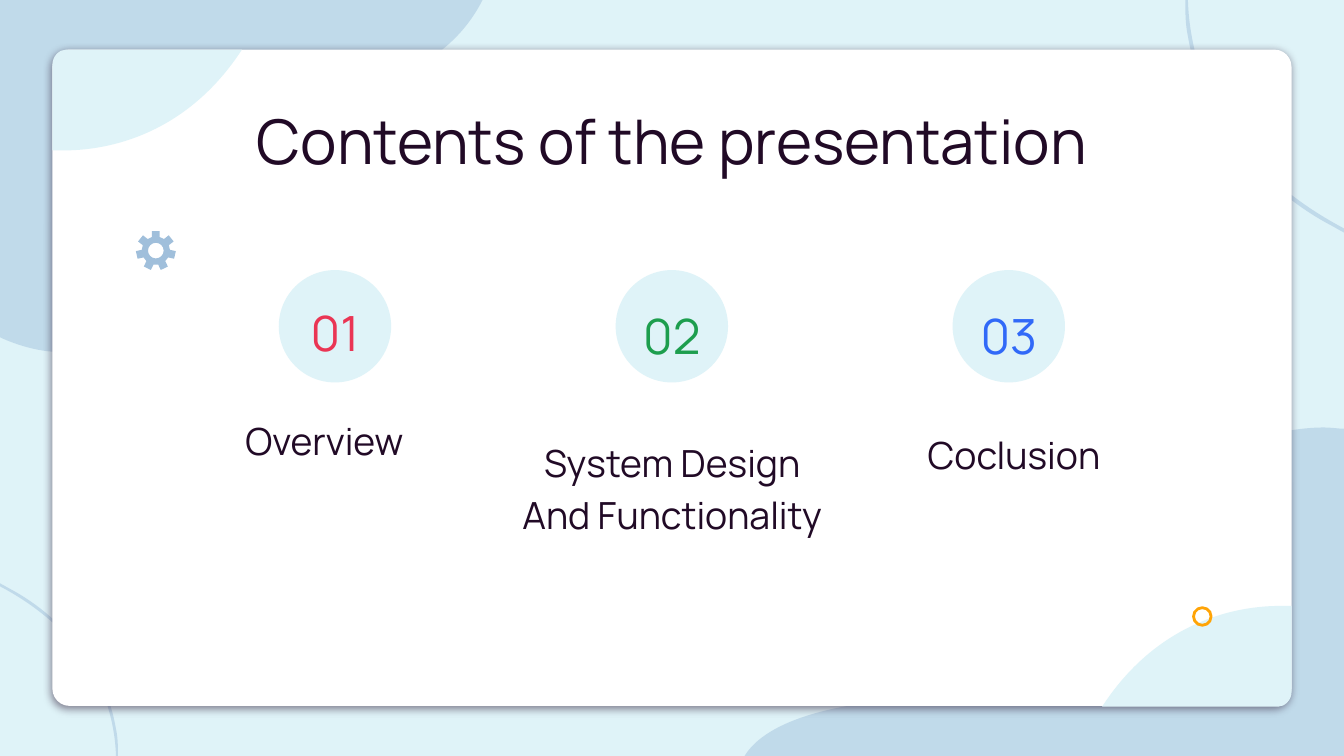
from collections import namedtuple
from math import asin, cos, pi, sin

from lxml.etree import SubElement
from pptx import Presentation
from pptx.dml.color import RGBColor
from pptx.enum.shapes import MSO_SHAPE as Preset
from pptx.enum.text import MSO_ANCHOR as Anchor, MSO_AUTO_SIZE as AutoSize, PP_ALIGN as Align
from pptx.oxml.ns import qn
from pptx.util import Pt

Box = namedtuple("Box", "left top width height")
FONT, INK, PALE, STEEL, WHITE = "Manrope", "210A26", "DFF3F8", "A0BFDB", "FFFFFF"

BAND = [(1.4, 0), (2.2, 25.9, 10.8, 52.6, 25.9, 73.4), (41.8, 94.3, 61.9, 110.2, 85, 122.4),
        (85, 124.6), (82.1, 123.1, 79.9, 121.7, 77, 120.2), (58.3, 110.2, 41.8, 95.8, 28.1, 79.2),
        (14.4, 61.9, 5, 41, 1.4, 19.4), (0, 13, 0, 6.5, 0, 0)]
LEAF = [(101.5, 0), (74.9, 41, 36.7, 54, 5.8, 54), (3.6, 54, 1.4, 54, 0, 54),
        (0, 7.9), (0, 3.6, 3.6, 0, 7.2, 0)]
TOP_BLOB = [(32.4, 188.6), (15.8, 188.6, 0, 180.7, 0, 180.7), (0, 0), (258.5, 0),
            (225.4, 65.5, 123.1, 52.6, 80.6, 65.5), (38.2, 78.5, 85, 141.1, 61.9, 174.2),
            (54, 185.8, 43.2, 188.6, 32.4, 188.6)]
BOTTOM_BLOB = [(0, 176), (11.5, 157, 50.4, 144.7, 113.8, 144.7),
               (116, 144.7, 118.8, 144.7, 121, 144.7), (121.7, 144.7, 122.4, 144.7, 123.1, 144.7),
               (218.2, 144.7, 177.8, 61.2, 248.4, 17.3), (267.1, 5.8, 292.3, 0, 310.3, 0),
               (314.6, 0, 318.2, 0.7, 321.1, 0.7), (321.1, 176)]


def rgb(colour):
    return RGBColor.from_string(colour)


def paint(shape, colour, alpha=100):
    shape.shadow.inherit = False
    shape.line.fill.background()
    shape.fill.solid()
    shape.fill.fore_color.rgb = rgb(colour)
    if alpha < 100:
        tint = shape.element.spPr.find(".//" + qn("a:srgbClr"))
        SubElement(tint, qn("a:alpha"), val=str(alpha * 1000))


def add_preset(page, preset, box, colour):
    shape = page.shapes.add_shape(preset, *map(Pt, box))
    paint(shape, colour)
    return shape


def knots(segment):
    return list(zip(segment[::2], segment[1::2]))


def bend(shape, contours):
    outline = shape.element.spPr.find(".//" + qn("a:path"))
    lines = iter(outline.findall(qn("a:lnTo")))
    for contour in contours:
        for segment in contour[1:]:
            parts = [next(lines) for knot in knots(segment)]
            if len(parts) == 3:
                curve = SubElement(outline, qn("a:cubicBezTo"))
                parts[0].addprevious(curve)
                for part in parts:
                    curve.append(part[0])
                    outline.remove(part)


def add_outline(page, contours, colour, alpha=100):
    builder = None
    for contour in contours:
        points = [(Pt(x), Pt(y)) for segment in contour for x, y in knots(segment)]
        if builder is None:
            builder = page.shapes.build_freeform(*points[0])
        else:
            builder.move_to(*points[0])
        builder.add_line_segments(points[1:], close=True)
    shape = builder.convert_to_shape()
    bend(shape, contours)
    paint(shape, colour, alpha)


def add_curve(page, box, segments, colour, alpha=100, turned=False):
    wide, high = (max(values) for values in zip(*(k for s in segments for k in knots(s))))

    def place(x, y):
        x, y = (wide - x, high - y) if turned else (x, y)
        return box.left + x * box.width / wide, box.top + y * box.height / high

    placed = [sum((place(*knot) for knot in knots(segment)), ()) for segment in segments]
    add_outline(page, [placed], colour, alpha)


def write(shape, box, text, size, colour, anchor):
    shape.left, shape.top, shape.width, shape.height = map(Pt, box)
    shape.element.getparent().append(shape.element)
    frame = shape.text_frame
    frame.word_wrap = True
    frame.auto_size = AutoSize.NONE
    frame.vertical_anchor = anchor
    frame.margin_left = frame.margin_right = frame.margin_top = frame.margin_bottom = Pt(7.2)
    frame.text = text
    para = frame.paragraphs[0]
    properties = para._p.get_or_add_pPr()
    properties.set("marL", "0")
    properties.set("indent", "0")
    SubElement(properties, qn("a:buNone"))
    para.alignment = Align.CENTER
    para.line_spacing = 1.15
    para.space_before = Pt(0)
    para.font.name, para.font.size, para.font.bold = FONT, Pt(size), False
    para.font.color.rgb = rgb(colour)


def draw_backdrop(page, box):
    page.background.fill.solid()
    page.background.fill.fore_color.rgb = rgb(PALE)
    right, bottom = box.left + box.width, box.top + box.height
    add_curve(page, Box(right - 85, box.top, 85, 124.6), BAND, STEEL, 48)
    add_curve(page, Box(box.left, box.top, 258.5, 188.6), TOP_BLOB, STEEL, 48)
    add_curve(page, Box(right - 321.1, bottom - 176, 321.1, 176), BOTTOM_BLOB, STEEL, 48)
    add_curve(page, Box(box.left, bottom - 92.5, 63.2, 92.5), BAND, STEEL, 48, turned=True)


def draw_card(page, box):
    card = add_preset(page, Preset.ROUNDED_RECTANGLE, box, WHITE)
    card.adjustments[0] = 0.026
    effects = card.element.spPr.find(qn("a:effectLst"))
    shadow = SubElement(effects, qn("a:outerShdw"), blurRad=str(Pt(4.5)), dist=str(Pt(1.5)),
                        dir="5400000", algn="bl", rotWithShape="0")
    tint = SubElement(shadow, qn("a:srgbClr"), val=INK)
    SubElement(tint, qn("a:alpha"), val="50000")


def draw_leaves(page, box):
    leaf = Box(box.left, box.top, 101.5, 54)
    opposite = leaf._replace(left=box.left + box.width - leaf.width,
                             top=box.top + box.height - leaf.height + 0.4)
    add_curve(page, opposite, LEAF, PALE, turned=True)
    add_curve(page, leaf, LEAF, PALE)


def draw_gear(page, box, teeth=7):
    middle_x, middle_y = box.left + box.width / 2, box.top + box.height / 2
    outer, root, hole, half_tooth = (box.width * part for part in (0.51, 0.36, 0.2, 0.1))

    def at(radius, angle):
        return middle_x + radius * cos(angle), middle_y + radius * sin(angle)

    rim = []
    for tooth in range(teeth):
        angle = 2 * pi * tooth / teeth - pi / 2
        narrow, wide = asin(half_tooth / outer), asin(half_tooth / root)
        rim += [at(root, angle - wide), at(outer, angle - narrow),
                at(outer, angle + narrow), at(root, angle + wide)]
    bore = [at(hole, 0)]
    reach, lean = hole * 1.14, asin(0.48)
    for quarter in range(4):
        start, end = -quarter * pi / 2, -(quarter + 1) * pi / 2
        bore.append(at(reach, start - lean) + at(reach, end + lean) + at(hole, end))
    add_outline(page, [bore, rim], STEEL)


def draw_ring(page, box):
    ring = add_preset(page, Preset.OVAL, box, WHITE)
    ring.fill.background()
    ring.line.color.rgb = rgb("FFA406")
    ring.line.width = Pt(1.5)


def draw_topic(page, box, label, topic):
    number, colour, number_top, text, shift, label_top, label_height = topic
    number_box = Box(box.left, box.top + number_top, box.width, 46.8)
    write(page.shapes.add_textbox(0, 0, 0, 0), number_box, number, 26, colour, Anchor.MIDDLE)
    label_box = Box(box.left + shift, box.top + label_top, box.width, label_height)
    write(label, label_box, text, 20, INK, Anchor.BOTTOM)


def build_contents(page, box):
    draw_backdrop(page, box)
    draw_card(page, Box(28.1, 26.6, 663.8, 351.6))
    pitch, size = 180.5, 60.2
    columns = [Box(89.2 + index * pitch, 144.7, pitch, 150) for index in range(3)]
    for column in columns:
        circle = Box(column.left + (pitch - size) / 2, column.top, size, size)
        add_preset(page, Preset.OVAL, circle, PALE)
    write(page.shapes.title, Box(56.2, 42.2, 607.7, 56.2),
          "Contents of the presentation", 33, INK, Anchor.TOP)
    topics = [("01", "EA3554", 7.7, "Overview", -5.7, 72.3, 38.2),
              ("02", "1D9E4E", 9.1, "System Design And Functionality", 0.2, 79.4, 70.6),
              ("03", "3169F8", 9.1, "Coclusion", 2.8, 47.6, 70.6)]
    labels = [holder for holder in page.placeholders if holder.placeholder_format.idx in (1, 2, 3)]
    for column, label, topic in zip(columns, labels, topics):
        draw_topic(page, column, label, topic)
    draw_gear(page, Box(73, 123.8, 21, 21))
    draw_leaves(page, Box(28.1, 26.6, 663.8, 351.6))
    draw_ring(page, Box(639.4, 325.6, 9.4, 9.4))
    for holder in list(page.placeholders):
        if not holder.text_frame.text:
            holder.element.getparent().remove(holder.element)


def main():
    deck = Presentation()
    deck.slide_width, deck.slide_height = Pt(720), Pt(405)
    page = deck.slides.add_slide(deck.slide_layouts.get_by_name("Comparison"))
    build_contents(page, Box(0, 0, 720, 405))
    deck.save("out.pptx")


if __name__ == "__main__":
    main()
